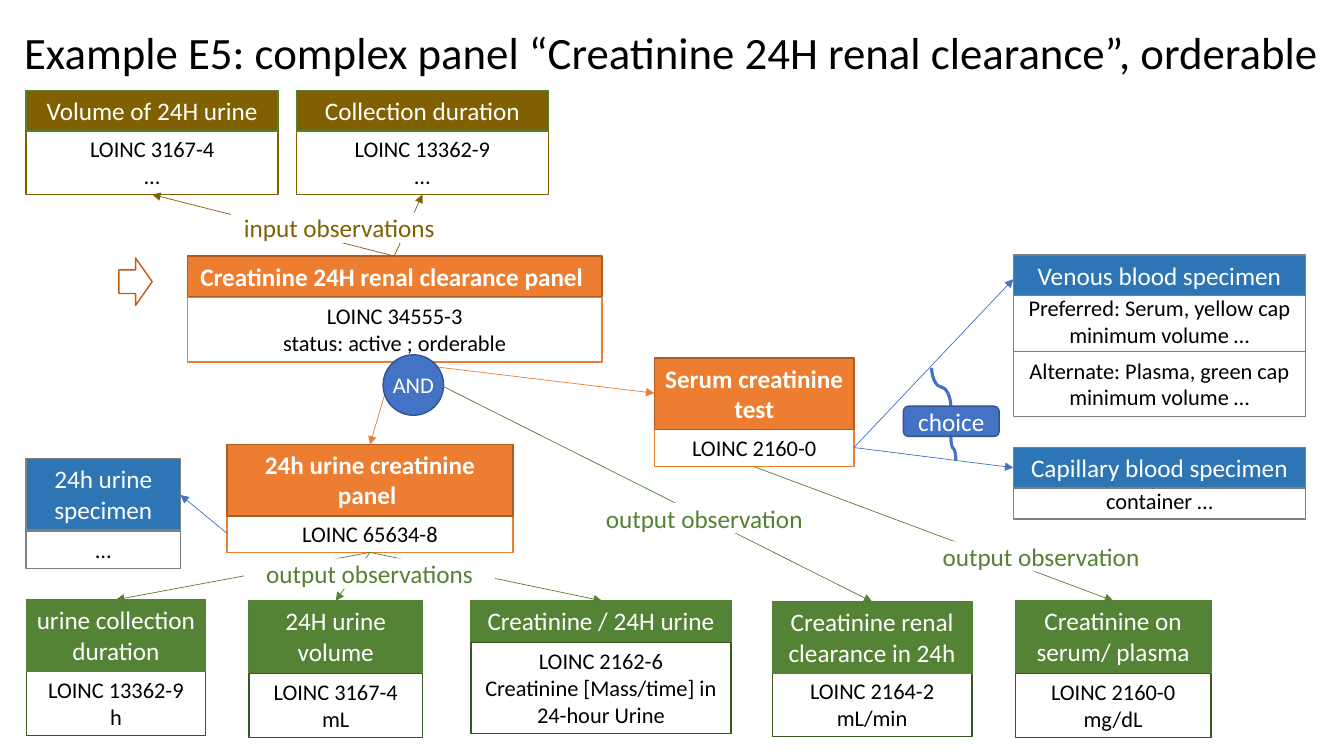
import lxml.etree
import pptx
import pptx.util
import pptx.dml.color
import pptx.enum.shapes
import pptx.enum.text
import pptx.oxml.ns

Inches = pptx.util.Inches
Pt = pptx.util.Pt
qualified = pptx.oxml.ns.qn
SHAPES = pptx.enum.shapes.MSO_SHAPE
CONNECTORS = pptx.enum.shapes.MSO_CONNECTOR
ANCHOR = pptx.enum.text.MSO_ANCHOR
ALIGN = pptx.enum.text.PP_ALIGN
AUTO_SIZE = pptx.enum.text.MSO_AUTO_SIZE

COLORS = {
    "white": "FFFFFF", "black": "000000", "gray": "808080",
    "orange": "ED7D31", "orange_edge": "AF5C24", "arrow_edge": "C55A11",
    "blue": "4472C4", "blue_edge": "325491", "specimen": "2E75B6",
    "brown": "806000", "green": "548235", "green_fill": "558335",
    "green_edge": "385723",
}
CARD_STYLES = {
    "test": ("orange", "orange_edge", "orange"),
    "input": ("brown", "green", "brown"),
    "output": ("green_fill", "green", "green_edge"),
    "specimen": ("specimen", "gray", "gray"),
}
CARDS = [
    ("test", 1.86, 2.54, 4.11, 0.4, "Creatinine 24H renal clearance panel ",
     [(2.95, 0.64, ["LOINC 34555-3", "status: active ; orderable"])]),
    ("input", 0.26, 0.9, 2.5, 0.4, "Volume of 24H urine",
     [(1.29, 0.64, ["LOINC 3167-4", "…"])]),
    ("input", 2.94, 0.9, 2.5, 0.4, "Collection duration",
     [(1.29, 0.64, ["LOINC 13362-9", "…"])]),
    ("specimen", 10.05, 2.53, 2.9, 0.4, "Venous blood specimen",
     [(2.87, 0.64, ["Preferred: Serum, yellow cap", "minimum volume …"]),
      (3.49, 0.64, ["Alternate: Plasma, green cap", "minimum volume …"])]),
    ("specimen", 10.05, 4.44, 2.9, 0.4, "Capillary blood specimen",
     [(4.78, 0.37, ["container …"])]),
    ("specimen", 0.26, 4.55, 1.53, 0.71, "24h urine specimen",
     [(5.27, 0.37, ["…"])]),
    ("test", 2.25, 4.41, 2.84, 0.71, "24h urine creatinine panel ",
     [(5.11, 0.37, ["LOINC 65634-8"])]),
    ("test", 6.49, 3.55, 1.98, 0.71, "Serum creatinine test",
     [(4.26, 0.37, ["LOINC 2160-0"])]),
    ("output", 0.26, 5.95, 1.78, 0.71, "urine collection duration",
     [(6.66, 0.64, ["LOINC 13362-9", "h"])]),
    ("output", 2.47, 5.96, 1.72, 0.71, "24H urine volume",
     [(6.68, 0.64, ["LOINC 3167-4", "mL"])]),
    ("output", 4.67, 5.96, 2.58, 0.4, "Creatinine / 24H urine",
     [(6.37, 0.91, ["LOINC 2162-6", "Creatinine [Mass/time] in 24-hour Urine"])]),
    ("output", 7.66, 5.97, 1.98, 0.71, "Creatinine renal clearance in 24h",
     [(6.67, 0.64, ["LOINC 2164-2", "mL/min"])]),
    ("output", 10.07, 5.96, 1.94, 0.71, "Creatinine on serum/ plasma",
     [(6.68, 0.64, ["LOINC 2160-0", "mg/dL"])]),
]
ARROWS = [
    ("brown", (3.91, 2.54), [(1.51, 1.93), (4.19, 1.93)]),
    ("orange", (3.91, 3.59), [(3.67, 4.41), (6.49, 3.9)]),
    ("green", (3.91, 3.59), [(8.65, 5.97)]),
    ("green", (7.48, 4.63), [(11.04, 5.96)]),
    ("green", (3.67, 5.48), [(1.15, 5.95), (3.33, 5.96), (5.97, 5.96)]),
    ("blue", (8.47, 4.44), [(10.05, 2.77), (10.05, 4.64)]),
    ("blue", (2.25, 5.29), [(1.79, 4.91)]),
]
LABELS = [
    (2.29, 2.11, 2.15, "input observations", "brown"),
    (2.42, 5.54, 2.49, "output observations", "green"),
    (5.74, 4.99, 2.49, "output observation", "green"),
    (9.08, 5.37, 2.49, "output observation", "green"),
]
CHOICE_CURVES = [((9.43, 4.03), (9.24, 3.65)), ((9.43, 4.33), (9.48, 4.57))]


def rgb(name):
    return pptx.dml.color.RGBColor.from_string(COLORS[name])


def apply(target, values):
    for name, value in values.items():
        setattr(target, name, value)


def write(shape, lines, size, color, bold=False, align=ALIGN.CENTER, spacing=None, **frame):
    text_frame = shape.text_frame
    apply(text_frame, {"word_wrap": True, **frame})
    text_frame.text = "\n".join(lines)
    for paragraph in text_frame.paragraphs:
        apply(paragraph, {"alignment": align, "line_spacing": spacing})
        for run in paragraph.runs:
            apply(run.font, {"name": "Calibri", "size": Pt(size), "bold": bold})
            run.font.color.rgb = rgb(color)


def add_box(slide, preset, place, fill=None, edge=None):
    shape = slide.shapes.add_shape(preset, *map(Inches, place))
    shape.shadow.inherit = False
    if fill:
        shape.fill.solid()
        shape.fill.fore_color.rgb = rgb(fill)
    else:
        shape.fill.background()
    if edge:
        shape.line.color.rgb = rgb(edge)
        shape.line.width = Pt(1)
    else:
        shape.line.fill.background()
    return shape


def add_card(slide, style, left, top, width, height, title, bodies):
    fill, head_edge, body_edge = CARD_STYLES[style]
    fit = {"vertical_anchor": ANCHOR.TOP, "auto_size": AUTO_SIZE.SHAPE_TO_FIT_TEXT}
    for body_top, body_height, lines in bodies:
        body = add_box(slide, SHAPES.RECTANGLE, (left, body_top, width, body_height), "white", body_edge)
        write(body, lines, 16, "black", **fit)
    head = add_box(slide, SHAPES.RECTANGLE, (left, top, width, height), fill, head_edge)
    write(head, [title], 18, "white", bold=style == "test", **fit)


def add_label(slide, left, top, width, text, color):
    label = add_box(slide, SHAPES.RECTANGLE, (left, top, width, 0.3), "white")
    write(label, [text], 18, color, vertical_anchor=ANCHOR.TOP, margin_top=0, margin_bottom=0,
          auto_size=AUTO_SIZE.SHAPE_TO_FIT_TEXT)


def add_line(slide, kind, start, end, color, width):
    connector = slide.shapes.add_connector(kind, *map(Inches, (*start, *end)))
    connector.line.color.rgb = rgb(color)
    connector.line.width = Pt(width)
    lxml.etree.SubElement(connector._element.spPr, qualified("a:effectLst"))
    return connector


def add_arrow(slide, start, end, color):
    connector = add_line(slide, CONNECTORS.STRAIGHT, start, end, color, 0.5)
    outline = connector._element.spPr.find(qualified("a:ln"))
    lxml.etree.SubElement(outline, qualified("a:tailEnd"), type="triangle")


def add_vertical_curve(slide, start, end):
    center_x, center_y = (start[0] + end[0]) / 2, (start[1] + end[1]) / 2
    turned = [(center_x - (y - center_y), center_y + (x - center_x)) for x, y in (start, end)]
    connector = add_line(slide, CONNECTORS.CURVE, *turned, "blue", 2.25)
    frame = connector._element.spPr.find(qualified("a:xfrm"))
    frame.set("rot", str(270 * 60000))


def main():
    presentation = pptx.Presentation()
    apply(presentation, {"slide_width": Inches(13.33), "slide_height": Inches(7.5)})
    slide = presentation.slides.add_slide(presentation.slide_layouts[6])

    title = slide.shapes.add_textbox(*map(Inches, (0.14, 0.04, 13.05, 0.79)))
    write(title, ["Example E5: complex panel “Creatinine 24H renal clearance”, orderable"], 32, "black",
          align=ALIGN.LEFT, spacing=0.9, vertical_anchor=ANCHOR.BOTTOM)
    add_box(slide, SHAPES.RIGHT_ARROW, (1.18, 2.56, 0.33, 0.47), edge="arrow_edge")
    for card in CARDS:
        add_card(slide, *card)
    for color, start, ends in ARROWS:
        for end in ends:
            add_arrow(slide, start, end, color)
    for curve in CHOICE_CURVES:
        add_vertical_curve(slide, *curve)
    for label in LABELS:
        add_label(slide, *label)

    junction = add_box(slide, SHAPES.OVAL, (3.8, 3.52, 0.6, 0.6), "blue", "blue_edge")
    margins = dict.fromkeys(("margin_left", "margin_top", "margin_right", "margin_bottom"), 0)
    write(junction, ["AND"], 16, "white", vertical_anchor=ANCHOR.MIDDLE, **margins)
    choice = add_box(slide, SHAPES.ROUNDED_RECTANGLE, (8.96, 4.03, 0.95, 0.3), "blue", "blue_edge")
    write(choice, ["choice"], 18, "white", vertical_anchor=ANCHOR.MIDDLE)
    presentation.save("out.pptx")


main()
